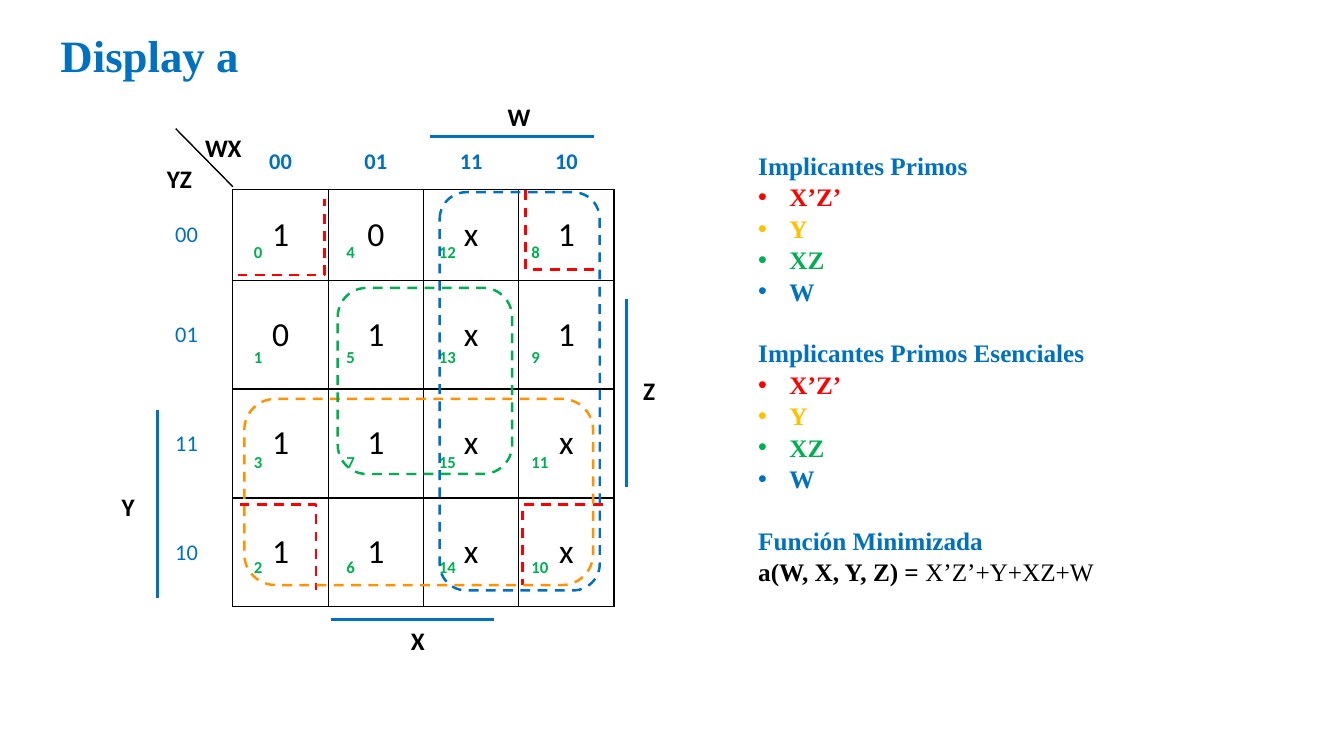
import pptx
import pptx.util
import pptx.dml.color
import pptx.enum.dml
import pptx.enum.shapes
import pptx.enum.text
from lxml import etree
from pptx.oxml.ns import qn

Inch, Pt = pptx.util.Inches, pptx.util.Pt
MSO = pptx.enum.shapes
TXT = pptx.enum.text

# Content
HEX = dict(blue="0070C0", red="FF0000", gold="FFC000", green="00B050",
           amber="FF9201", black="000000")
TITLE = "Display a"
CODES = ["00", "01", "11", "10"]
GRAY = [0, 1, 3, 2]
CELLS = ["10x1", "01x1", "11xx", "11xx"]
TERMS = [("X’Z’", "red"), ("Y", "gold"), ("XZ", "green"), ("W", "blue")]
HEADS = ["Implicantes Primos", "Implicantes Primos Esenciales"]
GOAL = "Función Minimizada"
FORM = ("a(W, X, Y, Z) = ", "X’Z’+Y+XZ+W")

# Places in map columns and rows, counted from the map's top left corner
NAMES = [("WX", -0.1, -0.46), ("YZ", -0.56, -0.12), ("Y", -1.1, 3.08),
         ("Z", 4.37, 2.01), ("W", 2.99, -0.81), ("X", 1.94, 4.31)]
BARS = [(2.07, -0.58, 3.79, -0.58), (1.03, 4.12, 2.74, 4.12),
        (4.13, 1.17, 4.13, 2.9), (-0.79, 2.19, -0.79, 3.92)]
SLASH = (0, -0.03, -0.6, -0.67)
BENDS = [[(0.05, 0.94), (0.96, 0.94), (0.96, 0.1)],
         [(0.07, 3.06), (0.87, 3.06), (0.87, 3.85)],
         [(3.07, 0.01), (3.07, 0.88), (3.85, 0.88)],
         [(3.88, 3.06), (3.04, 3.06), (3.04, 3.8)]]
LOOPS = [("amber", 0.12, 2.09, 3.78, 3.8), ("blue", 2.17, 0.03, 3.85, 3.85),
         ("green", 1.1, 1.07, 2.93, 2.78)]

LEFT, TOP, SIDE, HEAD = 2.31, 1.88, 0.92, 0.55
WIDE, FIRST, TALL = 0.945, 0.9, 1.08


def col(c):
    return Inch(LEFT + c * WIDE)


def row(r):
    return Inch(TOP + min(r, 1) * FIRST + max(r - 1, 0) * TALL)


def tint(name):
    return pptx.dml.color.RGBColor.from_string(HEX[name])


def style(par, size, name, bold=True, face="Calibri"):
    font = par.font
    font.size, font.bold, font.name = Pt(size), bold, face
    font.color.rgb = tint(name)


def stroke(item, name, width, dash=False):
    item.line.color.rgb = tint(name)
    item.line.width = Pt(width)
    if dash:
        item.line.dash_style = pptx.enum.dml.MSO_LINE.DASH


def rule(ends, name, width):
    x1, y1, x2, y2 = ends
    line = slide.shapes.add_connector(MSO.MSO_CONNECTOR.STRAIGHT,
                                      col(x1), row(y1), col(x2), row(y2))
    stroke(line, name, width)
    etree.SubElement(line._element.spPr, qn("a:effectLst"))


def outline(shape, name):
    shape.shadow.inherit = False
    shape.fill.background()
    stroke(shape, name, 1.75, True)


def edge(cell, sides):
    props = cell._tc.get_or_add_tcPr()
    for i, side in enumerate(s for s in "LRTB" if s in sides):
        ln = etree.Element(qn("a:ln" + side), w="12700")
        fill = etree.SubElement(ln, qn("a:solidFill"))
        etree.SubElement(fill, qn("a:srgbClr"), val=HEX["black"])
        props.insert(i, ln)


def grid(x, y, wide, tall):
    table = slide.shapes.add_table(5, 5, Inch(x), Inch(y), Inch(sum(wide)),
                                   Inch(sum(tall))).table
    table.first_row = table.horz_banding = False
    # Plain style without grid lines
    table._tbl.tblPr.find(qn("a:tableStyleId")).text = \
        "{2D5ABB26-0587-4C30-8999-92F81FD0307C}"
    for i in range(5):
        table.columns[i].width = Inch(wide[i])
        table.rows[i].height = Inch(tall[i])
    for cell in table.iter_cells():
        cell.fill.background()
        pad(cell, 0.25, 0.13)
    return table


def pad(cell, x, y):
    cell.margin_left = cell.margin_right = Inch(x)
    cell.margin_top = cell.margin_bottom = Inch(y)


def write(cell, text, anchor, align, *look):
    cell.text = text
    cell.vertical_anchor = anchor
    par = cell.text_frame.paragraphs[0]
    par.alignment = align
    style(par, *look)


def place(shape, x, y, w, h):
    shape.left, shape.top, shape.width, shape.height = map(Inch, (x, y, w, h))


deck = pptx.Presentation()
deck.slide_width, deck.slide_height = Inch(13.33), Inch(7.5)
slide = deck.slides.add_slide(deck.slide_layouts[1])
title, body = slide.placeholders

# Title
place(title, 0.5, 0.22, 1.98, 0.64)
title.text_frame.text = TITLE
title.text_frame.word_wrap = False
title.text_frame.vertical_anchor = TXT.MSO_ANCHOR.TOP
par = title.text_frame.paragraphs[0]
par.alignment = TXT.PP_ALIGN.LEFT
style(par, 32, "blue", True, "Times New Roman")

# Prime implicants and result
place(body, 7.42, 1.43, 4.23, 4.64)
frame = body.text_frame
frame.auto_size = TXT.MSO_AUTO_SIZE.NONE
frame.word_wrap = True
lines = []
for head in HEADS:
    lines += [((head,), "blue", "head")]
    lines += [((term,), name, "item") for term, name in TERMS]
lines += [((GOAL,), "blue", "head"), (FORM, "black", "form")]
for i, (parts, name, kind) in enumerate(lines):
    par = frame.add_paragraph() if i else frame.paragraphs[0]
    for part in parts:
        par.add_run().text = part
    par.line_spacing = 1.04
    par.space_before = Pt(21.6 if i and kind == "head" else 0)
    style(par, 18, name, None if kind == "form" else True, "Times New Roman")
    if kind == "form":
        par.runs[0].font.bold, par.runs[1].font.bold = True, False
    props = par._p.get_or_add_pPr()
    dent = Inch(0.31) if kind == "item" else 0
    props.set("marL", str(dent))
    props.set("indent", str(-dent))
    mark = etree.Element(qn("a:buChar" if dent else "a:buNone"))
    if dent:
        mark.set("char", "•")
    props.find(qn("a:defRPr")).addprevious(mark)

# Minterm numbers
table = grid(1.35, 0.65, [0.918] * 5, [1.044] * 5)
for r in range(4):
    for c in range(4):
        write(table.cell(r + 1, c + 1), str(4 * GRAY[c] + GRAY[r]),
              TXT.MSO_ANCHOR.BOTTOM, TXT.PP_ALIGN.LEFT, 12, "green")

# Karnaugh map
table = grid(LEFT - SIDE, TOP - HEAD, [SIDE] + [WIDE] * 4,
             [HEAD, FIRST] + [TALL] * 3)
pad(table.cell(0, 0), 0, 0)
mid = (TXT.MSO_ANCHOR.MIDDLE, TXT.PP_ALIGN.CENTER)
for r, code in enumerate(CODES, 1):
    write(table.cell(0, r), code, *mid, 16, "blue", True)
    edge(table.cell(0, r), "B")
    write(table.cell(r, 0), code, *mid, 16, "blue", False)
    edge(table.cell(r, 0), "R")
    for c, value in enumerate(CELLS[r - 1], 1):
        cell = table.cell(r, c)
        pad(cell, 0.01, 0)
        write(cell, value, *mid, 24, "black", False)
        edge(cell, "LRTB")

# Variable names and bars
rule(SLASH, "black", 1)
for ends in BARS:
    rule(ends, "blue", 2.25)
for name, c, r in NAMES:
    w, h = Inch(0.57 if len(name) > 1 else 0.4), Inch(0.4)
    box = slide.shapes.add_textbox(col(c) - w // 2, row(r) - h // 2, w, h)
    box.text_frame.word_wrap = False
    box.text_frame.text = name
    par = box.text_frame.paragraphs[0]
    par.alignment = TXT.PP_ALIGN.CENTER
    style(par, 18, "black")

# Groups: corner brackets, then loops
for bend in BENDS:
    dots = [(col(c), row(r)) for c, r in bend]
    pen = slide.shapes.build_freeform(*dots[0])
    pen.add_line_segments(dots[1:], close=False)
    outline(pen.convert_to_shape(), "red")
for name, x1, y1, x2, y2 in LOOPS:
    loop = slide.shapes.add_shape(MSO.MSO_SHAPE.ROUNDED_RECTANGLE, col(x1),
                                  row(y1), col(x2) - col(x1), row(y2) - row(y1))
    outline(loop, name)

deck.save("out.pptx")
